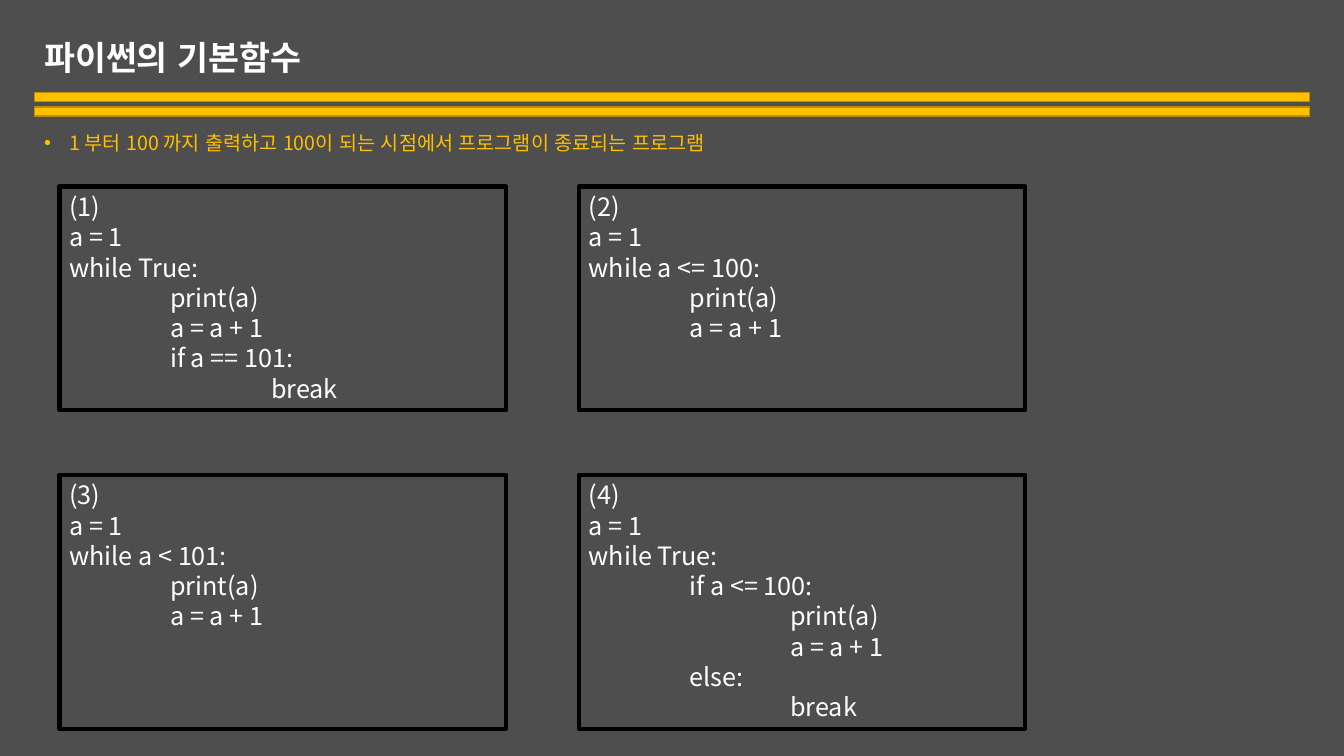
from dataclasses import dataclass

from lxml.etree import SubElement
from pptx import Presentation
from pptx.dml.color import RGBColor
from pptx.enum.lang import MSO_LANGUAGE_ID
from pptx.enum.shapes import MSO_SHAPE
from pptx.enum.text import MSO_ANCHOR, PP_ALIGN
from pptx.oxml.ns import qn
from pptx.shapes.autoshape import Shape
from pptx.slide import Slide
from pptx.util import Inches, Pt

FONT = "Noto Sans CJK KR"
GOLD = "FFC000"
WHITE = "FFFFFF"
LEFT, WIDTH = 0.34, 12.65


@dataclass
class CodePanel:
    column: int
    row: int
    code: str


PANELS = [
    CodePanel(0, 0, "(1)\na = 1\nwhile True:\n\tprint(a)\n\ta = a + 1\n\tif a == 101:\n\t\tbreak"),
    CodePanel(1, 0, "(2)\na = 1\nwhile a <= 100:\n\tprint(a)\n\ta = a + 1"),
    CodePanel(0, 1, "(3)\na = 1\nwhile a < 101:\n\tprint(a)\n\ta = a + 1"),
    CodePanel(1, 1, "(4)\na = 1\nwhile True:\n\tif a <= 100:\n\t\tprint(a)\n\t\ta = a + 1\n\telse:\n\t\tbreak"),
]
PANEL_LEFTS = [0.59, 5.74]
PANEL_TOPS = [1.85, 4.71]
PANEL_HEIGHTS = [2.22, 2.52]
PANEL_WIDTH = 4.43


def color(value: str) -> RGBColor:
    return RGBColor.from_string(value)


def write_text(box: Shape, text: str, *, size: float, fill: str = WHITE, bold: bool = False,
               spacing: float = 1.0, bullet: bool = False, tab_stops: tuple[float, ...] = (),
               language: MSO_LANGUAGE_ID = MSO_LANGUAGE_ID.KOREAN,
               anchor: MSO_ANCHOR = MSO_ANCHOR.TOP) -> None:
    frame = box.text_frame
    frame.word_wrap = True
    frame.vertical_anchor = anchor
    for index, line in enumerate(text.split("\n")):
        para = frame.paragraphs[0] if index == 0 else frame.add_paragraph()
        para.alignment = PP_ALIGN.LEFT
        para.line_spacing = spacing
        properties = para._p.get_or_add_pPr()
        if bullet:
            properties.set("marL", str(Inches(0.25)))
            properties.set("indent", str(Inches(-0.25)))
            SubElement(properties, qn("a:buFont"), typeface="Arial")
            SubElement(properties, qn("a:buChar"), char="•")
        if tab_stops:
            tabs = SubElement(properties, qn("a:tabLst"))
            for stop in tab_stops:
                SubElement(tabs, qn("a:tab"), pos=str(Inches(stop)), algn="l")
        span = para.add_run()
        span.text = line
        span.font.name = FONT
        span.font.size = Pt(size)
        span.font.bold = bold
        span.font.language_id = language
        span.font.color.rgb = color(fill)
        SubElement(span._r.get_or_add_rPr(), qn("a:ea"), typeface=FONT)


def add_box(page: Slide, left: float, top: float, width: float, height: float, *,
            line: str, weight: float, fill: str | None = None) -> Shape:
    box = page.shapes.add_shape(MSO_SHAPE.RECTANGLE, Inches(left), Inches(top),
                                Inches(width), Inches(height))
    box.shadow.inherit = False
    if fill:
        box.fill.solid()
        box.fill.fore_color.rgb = color(fill)
    else:
        box.fill.background()
    box.line.color.rgb = color(line)
    box.line.width = Pt(weight)
    return box


def add_text_box(page: Slide, top: float, height: float) -> Shape:
    return page.shapes.add_textbox(Inches(LEFT), Inches(top), Inches(WIDTH), Inches(height))


def add_panel(page: Slide, panel: CodePanel) -> None:
    box = add_box(page, PANEL_LEFTS[panel.column], PANEL_TOPS[panel.row], PANEL_WIDTH,
                  PANEL_HEIGHTS[panel.row], line="000000", weight=3)
    write_text(box, panel.code, size=18, tab_stops=(1, 2),
               language=MSO_LANGUAGE_ID.ENGLISH_US)


def main() -> None:
    deck = Presentation()
    deck.slide_width, deck.slide_height = Inches(13.33), Inches(7.5)
    page = deck.slides.add_slide(deck.slide_layouts[6])
    page.background.fill.solid()
    page.background.fill.fore_color.rgb = color("4D4E4D")

    for top in (0.92, 1.06):
        add_box(page, LEFT, top, WIDTH, 0.09, line="BD8E00", weight=1, fill=GOLD)

    write_text(add_text_box(page, 0.26, 0.66), "파이썬의 기본함수", size=24, bold=True,
               spacing=0.9, anchor=MSO_ANCHOR.MIDDLE)
    write_text(add_text_box(page, 1.13, 6.22),
               "1 부터 100 까지 출력하고 100이 되는 시점에서 프로그램이 종료되는 프로그램",
               size=14, fill=GOLD, spacing=1.5, bullet=True)

    for panel in PANELS:
        add_panel(page, panel)
    deck.save("out.pptx")


if __name__ == "__main__":
    main()
